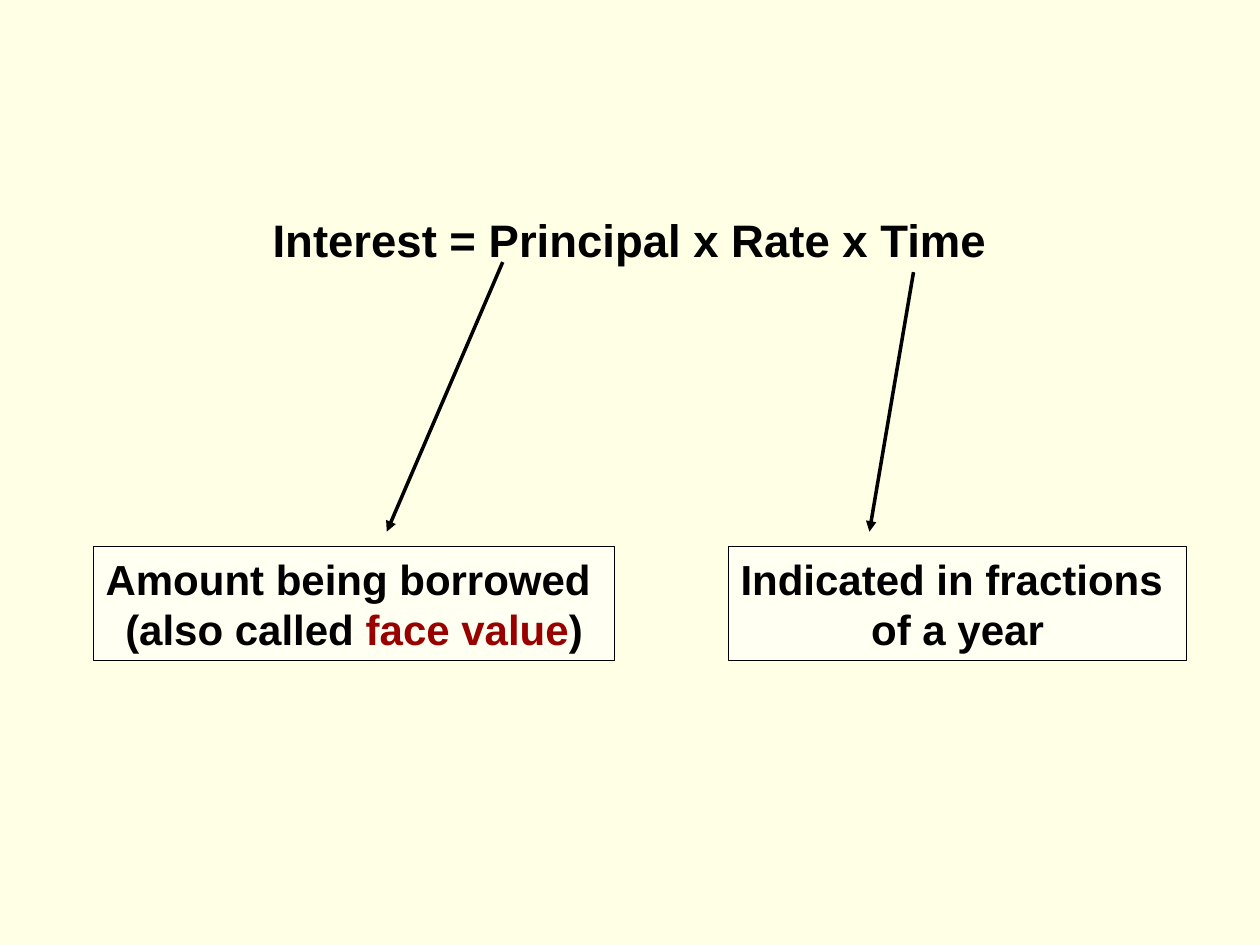
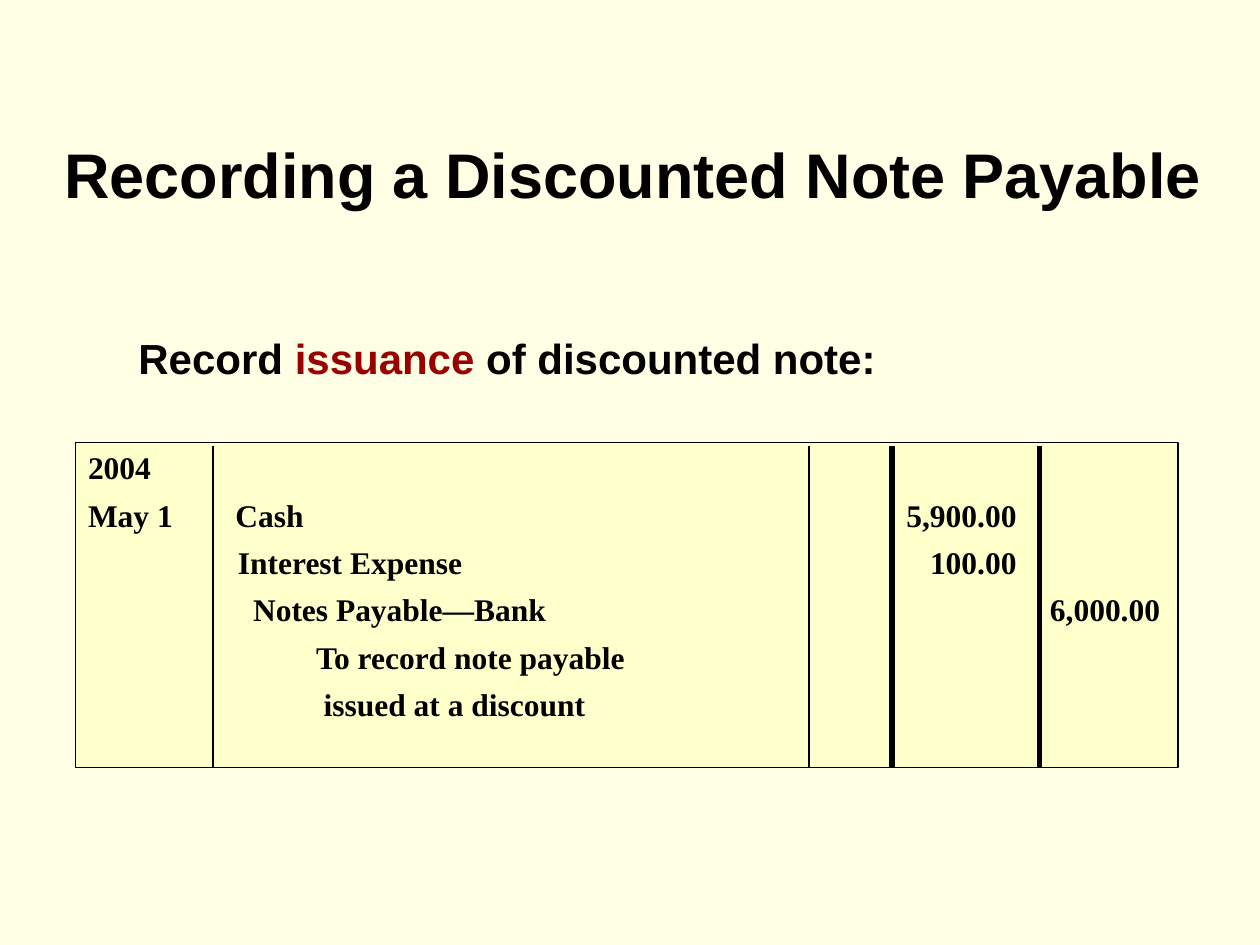
import pptx
import pptx.dml.color
import pptx.enum.shapes
import pptx.enum.text
import pptx.oxml.ns
import pptx.util
from lxml import etree
from collections import namedtuple

RGBColor = pptx.dml.color.RGBColor
PALE_YELLOW = RGBColor(0xFF, 0xFF, 0xE5)
LEDGER_YELLOW = RGBColor(0xFF, 0xFF, 0xCC)
WHITE = RGBColor(0xFF, 0xFF, 0xFF)
BLACK = RGBColor(0, 0, 0)
DARK_RED = RGBColor(0x99, 0, 0)

SANS, SERIF = "Arial", "Times New Roman"
ALIGN = pptx.enum.text.PP_ALIGN
ANCHOR = pptx.enum.text.MSO_ANCHOR

# The slide is a grid of 100 columns by 75 rows of square cells
COLUMNS, ROWS = 100, 75
CELL = pptx.util.Inches(0.1)
Box = namedtuple("Box", "left top width height")
SLIDE_BOX = Box(0, 0, COLUMNS, ROWS)


def cells(*counts):
    return [round(count * CELL) for count in counts]


def inside(box, left, top, width, height):
    return Box(box.left + left, box.top + top, width, height)


def add_xml(parent, tag, **attributes):
    return etree.SubElement(parent, pptx.oxml.ns.qn(tag), attributes)


def add_slide(presentation):
    slide = presentation.slides.add_slide(presentation.slide_layouts[6])
    slide.background.fill.solid()
    slide.background.fill.fore_color.rgb = PALE_YELLOW
    return slide


def write(shape, lines, size, font=SANS, align=ALIGN.LEFT, space=0):
    """Each line is a list of (text, colour) runs."""
    frame = shape.text_frame
    for index, line in enumerate(lines):
        paragraph = frame.paragraphs[0] if index == 0 else frame.add_paragraph()
        paragraph.alignment = align
        if index and space:
            paragraph.space_before = pptx.util.Pt(space)
        for text, color in line:
            run = paragraph.add_run()
            run.text = text
            run.font.name = font
            run.font.size = pptx.util.Pt(size)
            run.font.bold = True
            run.font.color.rgb = color


def add_text(slide, box, line, size, align=ALIGN.CENTER):
    shape = slide.shapes.add_textbox(*cells(*box))
    shape.text_frame.word_wrap = True
    write(shape, [line], size, align=align)


def add_panel(slide, box, color, anchor, wrap):
    shape = slide.shapes.add_shape(
        pptx.enum.shapes.MSO_SHAPE.RECTANGLE, *cells(*box))
    shape.shadow.inherit = False
    shape.fill.solid()
    shape.fill.fore_color.rgb = color
    shape.line.color.rgb = BLACK
    shape.line.width = pptx.util.Pt(0.75)
    shape.text_frame.vertical_anchor = anchor
    shape.text_frame.word_wrap = wrap
    return shape


def add_line(slide, start, end, width, arrow=False):
    line = slide.shapes.add_connector(
        pptx.enum.shapes.MSO_CONNECTOR.STRAIGHT, *cells(*start, *end))
    line.line.color.rgb = BLACK
    line.line.width = pptx.util.Pt(width)
    if arrow:
        add_xml(line.line._get_or_add_ln(), "a:tailEnd", type="triangle")
    add_xml(line._element.spPr, "a:effectLst")


def add_callout(slide, box, lines, arrow_start, arrow_column):
    """A half-transparent note under the formula term it explains."""
    panel = add_panel(slide, box, WHITE, ANCHOR.MIDDLE, wrap=False)
    color = panel.fill._xPr.find(".//" + pptx.oxml.ns.qn("a:srgbClr"))
    add_xml(color, "a:alpha", val="50000")
    write(panel, lines, 24, align=ALIGN.CENTER)
    arrow_end = (box.left + arrow_column, box.top - 1.2)
    add_line(slide, arrow_start, arrow_end, 2, arrow=True)


def add_journal(slide, box):
    # Entries: date, account, account indent, debit, credit
    entries = [
        ("2004", "", 0, "", ""),
        ("May 1", "Cash", 11.7, "5,900.00", ""),
        ("", "Interest Expense", 11.9, "100.00", ""),
        ("", "Notes Payable—Bank", 13.1, "", "6,000.00"),
        ("", "To record note payable", 18.1, "", ""),
        ("", "issued at a discount", 18.7, "", ""),
    ]
    debit_edge, credit_edge = 73.7, 85.1
    panel = add_panel(slide, box, LEDGER_YELLOW, ANCHOR.TOP, wrap=True)
    lines = []
    for date, account, _, debit, credit in entries:
        text = "\t".join([date, account, debit, credit]).rstrip("\t")
        lines.append([(text, BLACK)])
    write(panel, lines, 18, SERIF, space=5.4)

    # Accounts line up on a left tab, amounts on right tabs
    for paragraph, entry in zip(panel.text_frame.paragraphs, entries):
        stops = [(debit_edge, "r"), (credit_edge, "r")]
        if entry[2]:
            stops.insert(0, (entry[2], "l"))
        tabs = add_xml(paragraph._p.get_or_add_pPr(), "a:tabLst")
        for position, side in stops:
            add_xml(tabs, "a:tab", pos=str(cells(position)[0]), algn=side)

    # Column rules: thin around the text, thick beside the amounts
    for column, width in [(10.9, 0.75), (58.2, 0.75), (64.8, 3), (76.5, 3)]:
        x = box.left + column
        add_line(slide, (x, box.top + 0.3), (x, box.top + box.height), width)


def build_formula_slide(slide, box):
    formula = inside(box, 15.2, 16.3, 69.6, 5.4)
    add_text(slide, formula, [("Interest = Principal x Rate x Time", BLACK)], 26)
    add_callout(
        slide, inside(box, 7.4, 43.4, 41.4, 9),
        [[("Amount being borrowed ", BLACK)],
         [("(also called ", BLACK), ("face value", DARK_RED), (")", BLACK)]],
        (formula.left + 24.7, formula.top + 4.5), 23.3)
    add_callout(
        slide, inside(box, 57.8, 43.4, 36.4, 9),
        [[("Indicated in fractions ", BLACK)], [("of a year", BLACK)]],
        (formula.left + 57.3, formula.top + 5.3), 11.2)


def build_journal_slide(slide, box):
    add_text(slide, inside(box, 1.9, 10.3, 96.7, 7),
             [("Recording a Discounted Note Payable", BLACK)], 36)
    add_journal(slide, inside(box, 6, 35.1, 87.5, 25.8))
    add_text(slide, inside(box, 10, 25.9, 83.5, 5),
             [("Record ", BLACK), ("issuance", DARK_RED),
              (" of discounted note:", BLACK)], 24, ALIGN.LEFT)


def main():
    presentation = pptx.Presentation()
    presentation.slide_width, presentation.slide_height = cells(COLUMNS, ROWS)
    for build in (build_formula_slide, build_journal_slide):
        build(add_slide(presentation), SLIDE_BOX)
    presentation.save("out.pptx")


if __name__ == "__main__":
    main()
